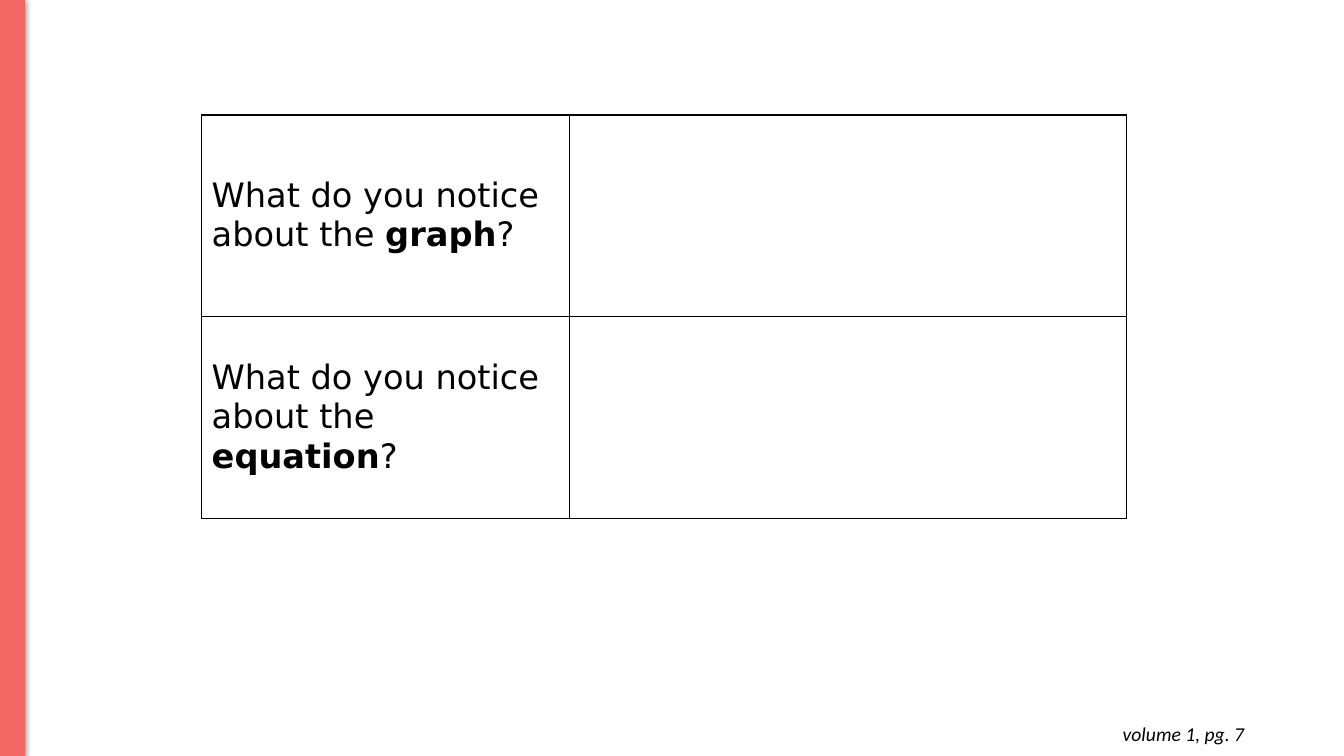
from pptx import Presentation
from pptx.dml.color import RGBColor
from pptx.enum.shapes import MSO_SHAPE
from pptx.enum.text import MSO_ANCHOR, MSO_AUTO_SIZE, PP_ALIGN
from pptx.oxml import parse_xml
from pptx.oxml.ns import nsdecls, qn
from pptx.util import Inches, Pt

COLORS = {"accent": "F26763", "ink": "000000"}
TOPICS = ["graph", "equation"]


def rgb(name):
    return RGBColor.from_string(COLORS[name])


def add_soft_shadow(shape):
    shape.shadow.inherit = False
    effects = shape._element.spPr.find(qn("a:effectLst"))
    effects.append(parse_xml(
        f'<a:outerShdw {nsdecls("a")} blurRad="{Pt(4.5)}" dist="{Pt(1.5)}" '
        f'dir="5400000" algn="bl" rotWithShape="0"><a:srgbClr val="{COLORS["ink"]}">'
        '<a:alpha val="50000"/></a:srgbClr></a:outerShdw>'))


def add_side_band(slide, left, top, width, height):
    band = slide.shapes.add_shape(MSO_SHAPE.RECTANGLE, Inches(left), Inches(top),
                                  Inches(width), Inches(height))
    band.fill.solid()
    band.fill.fore_color.rgb = rgb("accent")
    band.line.color.rgb = rgb("accent")
    band.line.width = Pt(0.75)
    add_soft_shadow(band)


def style_cell(cell):
    """Leave the cell unfilled, with a thin line on all four sides."""
    cell.fill.background()
    cell.vertical_anchor = MSO_ANCHOR.MIDDLE
    properties = cell._tc.get_or_add_tcPr()
    for index, side in enumerate(["lnL", "lnR", "lnT", "lnB"]):
        properties.insert(index, parse_xml(
            f'<a:{side} {nsdecls("a")} w="{Pt(1)}"><a:solidFill>'
            f'<a:srgbClr val="{COLORS["ink"]}"/></a:solidFill></a:{side}>'))


def write_question(cell, topic):
    question = cell.text_frame.paragraphs[0]
    for text, bold in [("What do you notice about the ", False), (topic, True), ("?", False)]:
        run = question.add_run()
        run.text = text
        run.font.bold = bold
    question.font.name = "DejaVu Sans"
    question.font.size = Pt(24)
    question.font.color.rgb = rgb("ink")


def add_notice_table(slide, left, top, width, height, question_width):
    frame = slide.shapes.add_table(len(TOPICS), 2, Inches(left), Inches(top),
                                   Inches(width), Inches(height))
    notices = frame.table
    notices.first_row = notices.horz_banding = False
    notices.columns[0].width = Inches(question_width)
    notices.columns[1].width = Inches(width - question_width)
    for cell in notices.iter_cells():
        style_cell(cell)
    for row, topic in enumerate(TOPICS):
        write_question(notices.cell(row, 0), topic)


def add_page_reference(slide, left, top, width, height):
    box = slide.shapes.add_textbox(Inches(left), Inches(top), Inches(width), Inches(height))
    frame = box.text_frame
    frame.word_wrap = True
    frame.auto_size = MSO_AUTO_SIZE.SHAPE_TO_FIT_TEXT
    frame.margin_left = frame.margin_right = Inches(0.1)
    frame.margin_top = frame.margin_bottom = Inches(0.1)
    reference = frame.paragraphs[0]
    reference.text = "volume 1, pg. 7"
    reference.alignment = PP_ALIGN.RIGHT
    reference.font.name = "Calibri"
    reference.font.size = Pt(14)
    reference.font.italic = True
    reference.font.color.rgb = rgb("ink")


def main():
    deck = Presentation()
    deck.slide_width = Inches(13.33)
    deck.slide_height = Inches(7.5)
    slide = deck.slides.add_slide(deck.slide_layouts[6])
    add_side_band(slide, 0, -0.01, 0.24, 7.51)
    add_notice_table(slide, 2, 1.14, 9.17, 4, question_width=3.65)
    add_page_reference(slide, 9.56, 7.06, 2.88, 0.44)
    deck.save("out.pptx")


if __name__ == "__main__":
    main()
